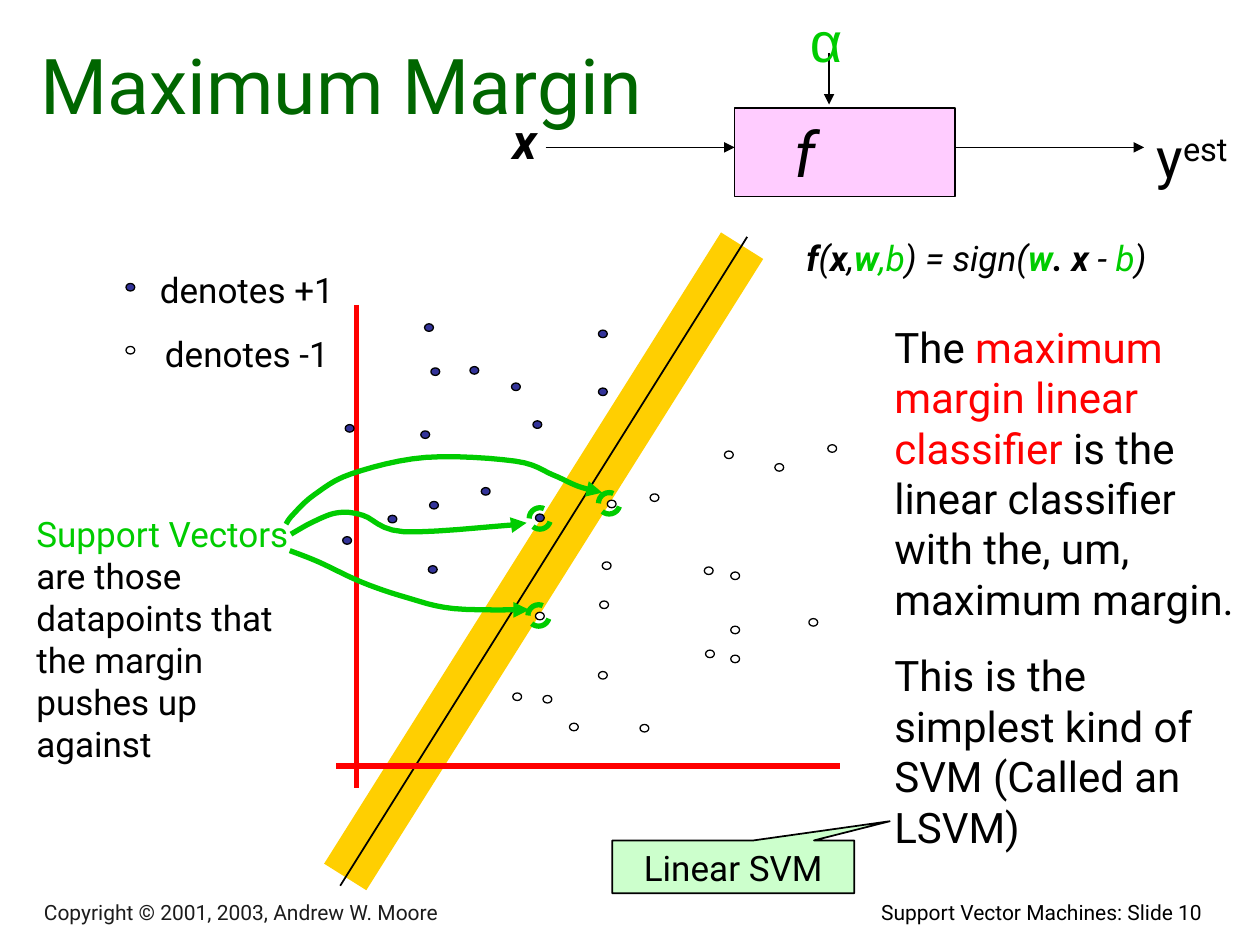
from dataclasses import dataclass

from lxml import etree
from pptx import Presentation
from pptx.dml.color import RGBColor
from pptx.enum import dml, shapes, text
from pptx.oxml import ns
from pptx.util import Inches, Pt


class Theme:
    font, greek_font = "Roboto", "Arial"
    black, white, copyright = "000000", "FFFFFF", "1C1C1C"
    title, green, red = "006600", "00CC00", "FF0000"
    gold, navy, pink, mint = "FFCF01", "333399", "FFCCFF", "CCFFCC"
    title_size, symbol, greek, vector = 44, 36, 32, 28
    body, label, footer = 24, 20, 12
    hair, thin, thick, band = 0.75, 1, 3, 28.5


@dataclass
class Box:
    left: float
    top: float
    width: float
    height: float

    def inner(self, left, top, width, height):
        return Box(self.left + left, self.top + top, width, height)

    def point(self, across, down):
        return Inches(self.left + across), Inches(self.top + down)

    def frame(self):
        return [Inches(n) for n in (self.left, self.top, self.width, self.height)]


LEFT, CENTER, RIGHT = text.PP_ALIGN.LEFT, text.PP_ALIGN.CENTER, text.PP_ALIGN.RIGHT


def color(value):
    return RGBColor.from_string(value)


def add_span(para, words, size, ink=Theme.black, bold=False, italic=False, font=Theme.font):
    span = para.add_run()
    span.text = words
    span.font.name, span.font.size = font, Pt(size)
    span.font.bold, span.font.italic = bold, italic
    span.font.color.rgb = color(ink)
    return span


def add_text(page, box, align=LEFT, anchor=text.MSO_ANCHOR.TOP):
    frame = page.shapes.add_textbox(*box.frame()).text_frame
    frame.word_wrap, frame.vertical_anchor = True, anchor
    frame.paragraphs[0].alignment = align
    return frame


def next_para(frame, align, gap):
    para = frame.add_paragraph()
    para.alignment, para.space_before = align, Pt(gap)
    return para


def style_line(item, ink, weight, arrow=False):
    item.line.color.rgb, item.line.width = color(ink), Pt(weight)
    if arrow:
        etree.SubElement(item.line._get_or_add_ln(), ns.qn("a:tailEnd"), type="triangle")


def add_line(page, box, start, end, ink=Theme.black, weight=Theme.thin, arrow=False):
    line = page.shapes.add_connector(
        shapes.MSO_CONNECTOR.STRAIGHT, *box.point(*start), *box.point(*end))
    style_line(line, ink, weight, arrow)
    etree.SubElement(line._element.spPr, ns.qn("a:effectLst"))


def add_shape(page, kind, box, fill=None, ink=Theme.black, weight=Theme.thin):
    shape = page.shapes.add_shape(kind, *box.frame())
    shape.shadow.inherit = False
    if fill:
        shape.fill.solid()
        shape.fill.fore_color.rgb = color(fill)
    else:
        shape.fill.background()
    style_line(shape, ink, weight)
    return shape


def add_dot(page, box, center, fill):
    across, down = center
    add_shape(page, shapes.MSO_SHAPE.OVAL, box.inner(across - 0.03, down - 0.03, 0.07, 0.06),
              fill, weight=Theme.hair)


def smooth_curve(points, steps=6):
    padded = [points[0], *points, points[-1]]
    curve = [points[0]]
    for before, start, end, after in zip(padded, padded[1:], padded[2:], padded[3:]):
        for step in range(1, steps + 1):
            t = step / steps
            curve.append(tuple(
                (2 * b + (c - a) * t + (2 * a - 5 * b + 4 * c - d) * t ** 2
                 + (3 * b - a - 3 * c + d) * t ** 3) / 2
                for a, b, c, d in zip(before, start, end, after)))
    return curve


def add_curved_arrow(page, box, points):
    first, *rest = [box.point(*point) for point in smooth_curve(points)]
    builder = page.shapes.build_freeform(*first)
    builder.add_line_segments(rest, close=False)
    arrow = builder.convert_to_shape()
    arrow.shadow.inherit = False
    arrow.fill.background()
    style_line(arrow, Theme.green, Theme.thick, arrow=True)


def build_title(page, box):
    title = page.shapes.title
    title.left, title.top, title.width, title.height = box.frame()
    frame = title.text_frame
    frame.auto_size, frame.vertical_anchor = text.MSO_AUTO_SIZE.NONE, text.MSO_ANCHOR.BOTTOM
    para = frame.paragraphs[0]
    para.alignment = CENTER
    add_span(para, "Maximum Margin", Theme.title_size, Theme.title)


def build_function_diagram(page, box):
    block = add_shape(page, shapes.MSO_SHAPE.RECTANGLE, box.inner(2, 0.86, 1.75, 0.7), Theme.pink)
    frame = block.text_frame
    frame.vertical_anchor, frame.margin_right = text.MSO_ANCHOR.MIDDLE, Inches(0.73)
    frame.paragraphs[0].alignment = CENTER
    add_span(frame.paragraphs[0], "f", Theme.symbol, italic=True)

    for start, end in [((0.5, 1.17), (2, 1.17)), ((2.75, 0.42), (2.75, 0.83)),
                       ((3.75, 1.17), (5.25, 1.17))]:
        add_line(page, box, start, end, arrow=True)

    vector = add_text(page, box.inner(0, 0.83, 0.67, 0.57), CENTER)
    add_span(vector.paragraphs[0], "x", Theme.vector, bold=True, italic=True)
    alpha = add_text(page, box.inner(2.5, 0, 0.42, 0.64), CENTER)
    add_span(alpha.paragraphs[0], "α", Theme.greek, Theme.green, font=Theme.greek_font)
    estimate = add_text(page, box.inner(5.25, 0.92, 0.92, 0.64)).paragraphs[0]
    add_span(estimate, "y", Theme.greek)
    raised = add_span(estimate, "est", Theme.greek)
    raised._r.get_or_add_rPr().set("baseline", "30000")

    formula = add_text(page, box.inner(2.17, 1.83, 3.5, 0.44), CENTER).paragraphs[0]
    for words, ink, bold in [
            ("f", Theme.black, True), ("(", Theme.black, False), ("x", Theme.black, True),
            (",", Theme.black, False), ("w", Theme.green, True), (",b", Theme.green, False),
            (") = sign(", Theme.black, False), ("w", Theme.green, True),
            (". x ", Theme.black, True), ("- ", Theme.black, False),
            ("b", Theme.green, False), (")", Theme.black, False)]:
        add_span(formula, words, Theme.label, ink, bold, italic=True)


def build_legend(page, box):
    frame = add_text(page, box, CENTER)
    add_span(frame.paragraphs[0], "denotes +1", Theme.label)
    add_span(next_para(frame, CENTER, 12.5), "denotes -1", Theme.label)
    for down, fill in [(0.2, Theme.navy), (0.7, Theme.white)]:
        add_dot(page, box, (0.11, down), fill)


def build_plot(page, box):
    add_line(page, box, (0.74, 5.96), (3.89, 0.95), Theme.gold, Theme.band)
    add_line(page, box, (0.7, 6.03), (3.93, 0.88))
    add_line(page, box, (0.83, 1.42), (0.83, 5.25), Theme.red, Theme.thick)
    add_line(page, box, (0.67, 5.08), (4.67, 5.08), Theme.red, Theme.thick)

    positive = [(0.75, 3.29), (2.78, 2.11), (1.76, 1.94), (2.28, 3.11), (1.37, 2.45),
                (1.45, 1.95), (1.44, 3.01), (2.26, 2.37), (1.43, 3.52), (2.78, 1.65),
                (1.4, 1.6), (1.85, 2.9), (1.11, 3.12), (2.09, 2.07), (0.77, 2.4)]
    negative = [(2.1, 4.53), (2.85, 3), (3.62, 3.53), (2.28, 3.89), (4.6, 2.56),
                (3.83, 4), (3.19, 2.95), (4.45, 3.94), (2.55, 4.77), (3.83, 3.57),
                (2.81, 3.49), (4.18, 2.71), (3.78, 2.61), (3.63, 4.19), (3.11, 4.78),
                (2.78, 4.36), (2.79, 3.8), (2.34, 4.55), (3.83, 4.23)]
    for centers, fill in [(positive, Theme.navy), (negative, Theme.white)]:
        for center in centers:
            add_dot(page, box, center, fill)

    for points in [
            [(0.31, 3.24), (0.49, 3.14), (0.68, 3.07), (0.88, 3.09), (1.2, 3.22),
             (2.03, 3.17), (2.18, 3.15)],
            [(0.27, 3.16), (0.32, 3.09), (0.49, 2.93), (0.79, 2.76), (1.38, 2.63),
             (2.09, 2.66), (2.39, 2.77), (2.59, 2.86), (2.78, 2.91)],
            [(0.3, 3.37), (0.53, 3.46), (0.87, 3.62), (1.22, 3.74), (1.6, 3.83), (2.2, 3.84)]]:
        add_curved_arrow(page, box, points)

    for left, top in [(2.75, 2.91), (2.2, 3.03), (2.19, 3.8)]:
        ring = add_shape(page, shapes.MSO_SHAPE.OVAL, box.inner(left, top, 0.17, 0.17),
                         ink=Theme.green, weight=Theme.thick)
        ring.line.dash_style = dml.MSO_LINE.DASH


def build_support_note(page, box):
    para = add_text(page, box).paragraphs[0]
    add_span(para, "Support Vectors ", Theme.label, Theme.green)
    add_span(para, "are those datapoints that the margin pushes up against", Theme.label)


def build_explanation(page, box):
    frame = add_text(page, box)
    para = frame.paragraphs[0]
    add_span(para, "The ", Theme.body)
    add_span(para, "maximum margin linear classifier", Theme.body, Theme.red)
    add_span(para, " is the linear classifier with the, um, maximum margin.", Theme.body)
    add_span(next_para(frame, LEFT, 15),
             "This is the simplest kind of SVM (Called an LSVM)", Theme.body)


def build_callout(page, box):
    callout = add_shape(page, shapes.MSO_SHAPE.RECTANGULAR_CALLOUT, box, Theme.mint)
    callout.adjustments[0], callout.adjustments[1] = 0.647, -0.863
    callout.text_frame.vertical_anchor = text.MSO_ANCHOR.TOP
    para = callout.text_frame.paragraphs[0]
    para.alignment = CENTER
    add_span(para, "Linear SVM", Theme.label)


def build_footer(page, box):
    owner = add_text(page, box.inner(0, 0.02, 5.55, 0.28), anchor=text.MSO_ANCHOR.BOTTOM)
    add_span(owner.paragraphs[0], "Copyright © 2001, 2003, Andrew W. Moore",
             Theme.footer, Theme.copyright)
    number = add_text(page, box.inner(5.47, 0, 3.92, 0.33), RIGHT)
    add_span(number.paragraphs[0], "Support Vector Machines: Slide 10", Theme.footer)


def main():
    deck = Presentation()
    deck.slide_width, deck.slide_height = Inches(10), Inches(7.5)
    page = deck.slides.add_slide(deck.slide_layouts[5])
    build_footer(page, Box(0.25, 7.09, 9.39, 0.33))
    build_title(page, Box(0.17, 0.33, 5.08, 0.75))
    build_plot(page, Box(2, 1, 5, 6.5))
    build_function_diagram(page, Box(3.83, 0, 6.17, 2.27))
    build_legend(page, Box(0.92, 2.08, 2.08, 0.94))
    build_explanation(page, Box(7, 2.5, 3, 4.71))
    build_support_note(page, Box(0.19, 4.02, 2.32, 2.1))
    build_callout(page, Box(4.86, 6.67, 1.92, 0.42))
    deck.save("out.pptx")


if __name__ == "__main__":
    main()
